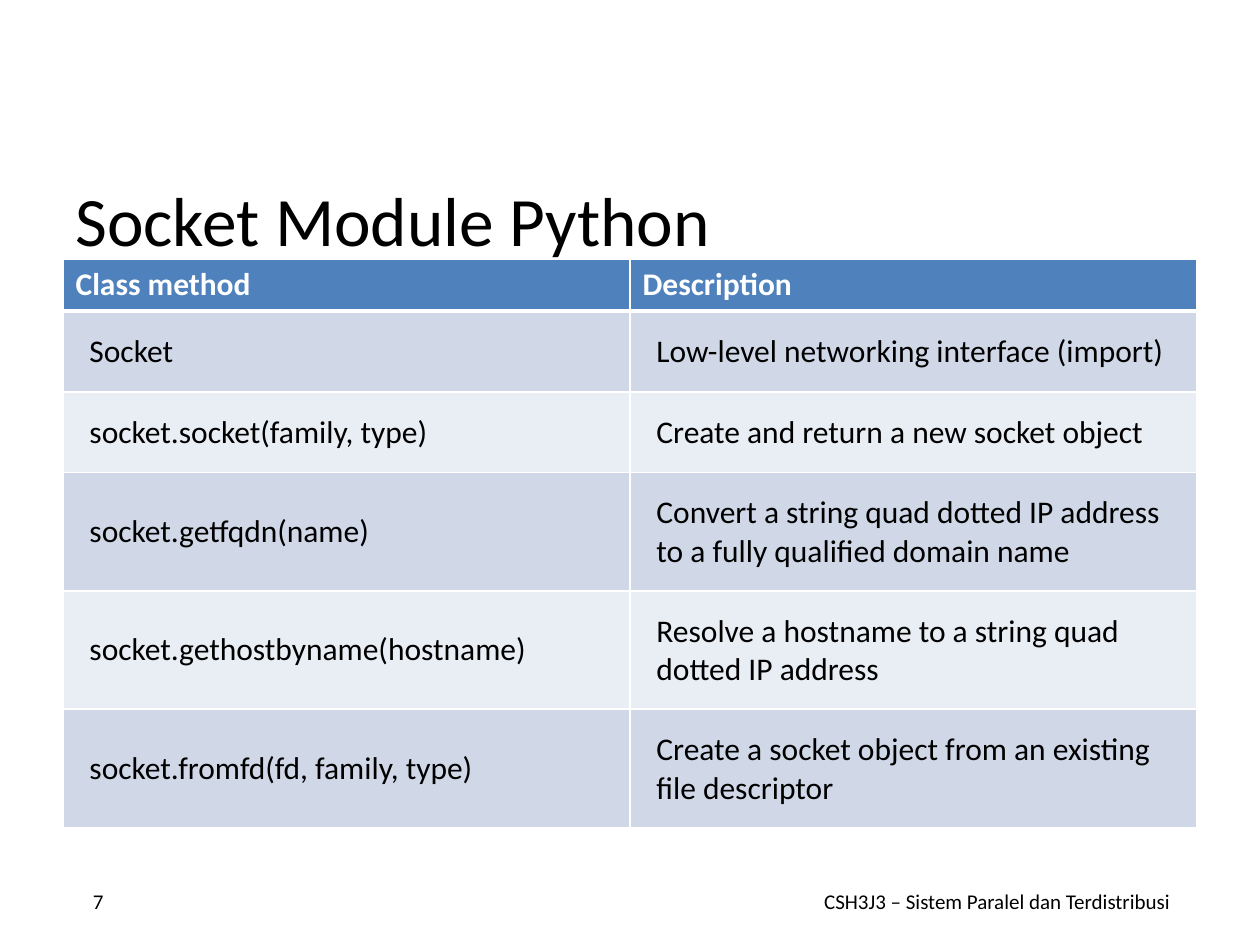
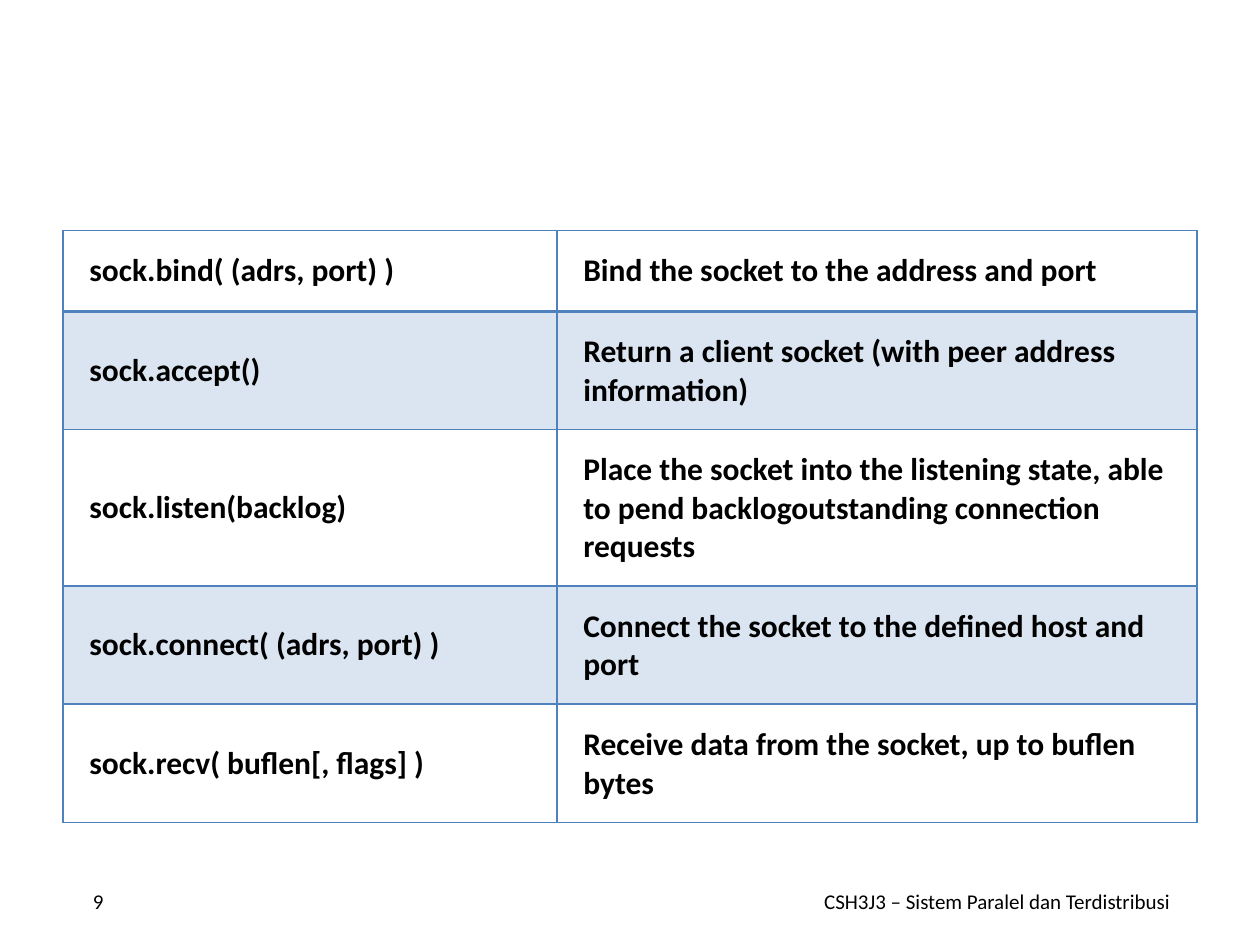
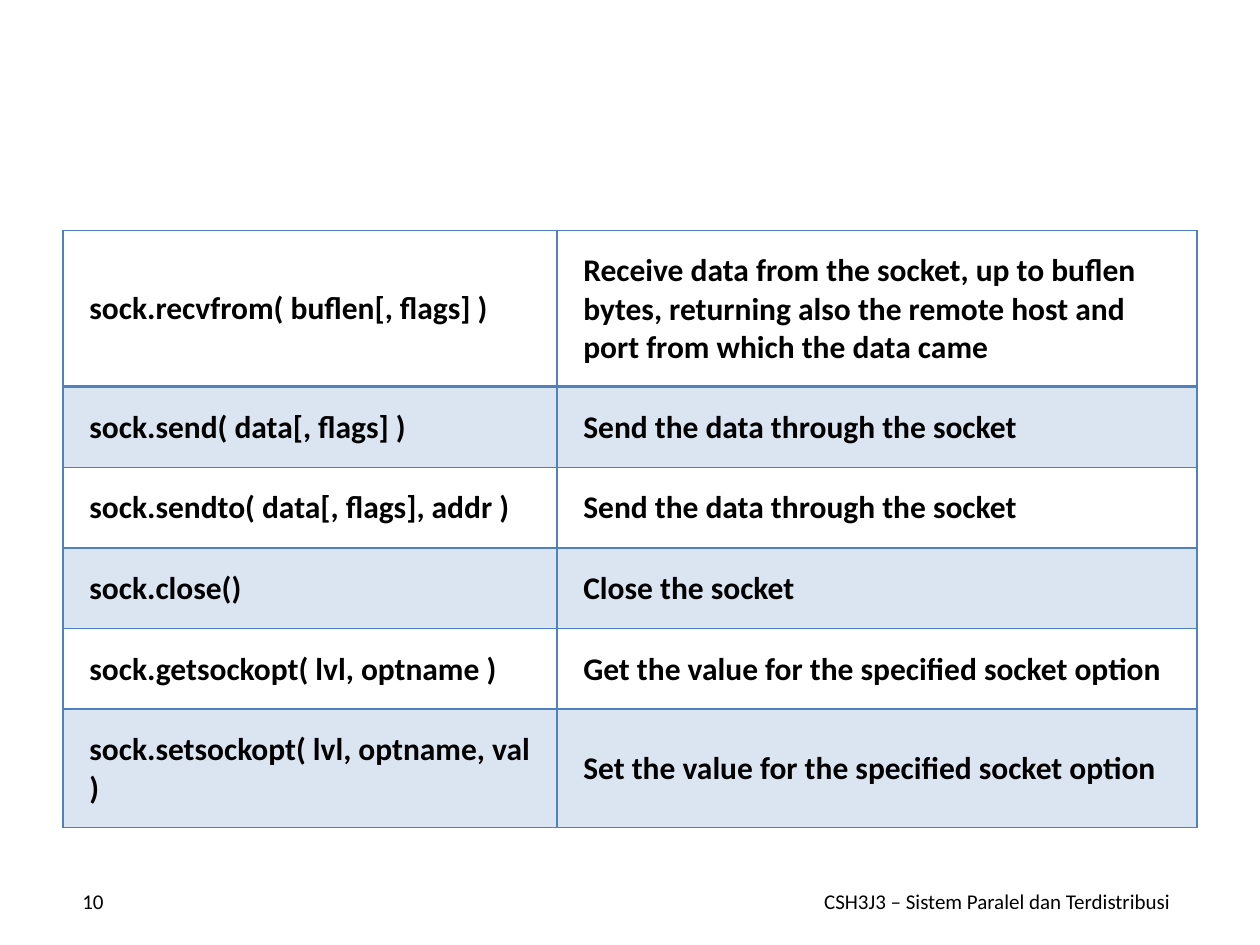
from lxml.etree import SubElement
from pptx import Presentation
from pptx.dml.color import RGBColor
from pptx.enum.text import MSO_ANCHOR, PP_ALIGN
from pptx.oxml.ns import qn
from pptx.util import Inches, Pt

COLORS = {
    "text": "000000",
    "white": "FFFFFF",
    "accent": "4F81BD",
    "band_dark": "D0D8E8",
    "band_light": "E9EDF4",
}
FONT = "Calibri"
COURSE = "CSH3J3 – Sistem Paralel dan Terdistribusi"

MODULE_ROWS = [
    ("Class method", "Description"),
    ("Socket", "Low-level networking interface (import)"),
    ("socket.socket(family, type)", "Create and return a new socket object"),
    ("socket.getfqdn(name)",
     "Convert a string quad dotted IP address to a fully qualified domain name"),
    ("socket.gethostbyname(hostname)",
     "Resolve a hostname to a string quad dotted IP address"),
    ("socket.fromfd(fd, family, type)",
     "Create a socket object from an existing file descriptor"),
]
CONNECTION_ROWS = [
    ("sock.bind( (adrs, port) )", "Bind the socket to the address and port"),
    ("sock.accept()", "Return a client socket (with peer address information)"),
    ("sock.listen(backlog)",
     "Place the socket into the listening state, able to pend backlogoutstanding "
     "connection requests"),
    ("sock.connect( (adrs, port) )", "Connect the socket to the defined host and port"),
    ("sock.recv( buflen[, flags] )",
     "Receive data from the socket, up to buflen bytes"),
]
DATA_ROWS = [
    ("sock.recvfrom( buflen[, flags] )",
     "Receive data from the socket, up to buflen bytes, returning also the remote "
     "host and port from which the data came"),
    ("sock.send( data[, flags] )", "Send the data through the socket"),
    ("sock.sendto( data[, flags], addr )", "Send the data through the socket"),
    ("sock.close()", "Close the socket"),
    ("sock.getsockopt( lvl, optname )", "Get the value for the specified socket option"),
    ("sock.setsockopt( lvl, optname, val )",
     "Set the value for the specified socket option"),
]


class Deck:
    """Holds the shared style and the slide being built."""

    def __init__(self):
        self.prs = Presentation()
        self.prs.slide_width = Inches(10)
        self.prs.slide_height = Inches(7.5)
        self.s = None

    def slide(self, number):
        self.s = self.prs.slides.add_slide(self.prs.slide_layouts[6])
        self.text(COURSE, 6.33, 6.95, 3.17, 0.4, 12, PP_ALIGN.CENTER)
        self.text(str(number), 0.5, 6.95, 0.42, 0.4, 12, PP_ALIGN.RIGHT)

    def run(self, p, text, size, color="text", bold=False):
        r = p.add_run()
        r.text = text
        r.font.name = FONT
        r.font.size = Pt(size)
        r.font.bold = bold
        r.font.color.rgb = RGBColor.from_string(COLORS[color])

    def text(self, text, x, y, w, h, size, align=PP_ALIGN.LEFT):
        sp = self.s.shapes.add_textbox(Inches(x), Inches(y), Inches(w), Inches(h))
        tf = sp.text_frame
        tf.word_wrap = True
        tf.vertical_anchor = MSO_ANCHOR.MIDDLE
        p = tf.paragraphs[0]
        p.alignment = align
        self.run(p, text, size)

    def title(self, text):
        self.text(text, 0.5, 1.42, 9, 0.63, 39.6)

    def border(self, cell, side, color, width):
        ln = SubElement(cell._tc.get_or_add_tcPr(), qn(f"a:ln{side}"), w=str(Pt(width)))
        fill = SubElement(ln, qn("a:solidFill"))
        SubElement(fill, qn("a:srgbClr"), val=COLORS[color])

    def fill(self, cell, color, alpha=100):
        if color is None:
            cell.fill.background()
            return
        cell.fill.solid()
        cell.fill.fore_color.rgb = RGBColor.from_string(COLORS[color])
        if alpha < 100:
            clr = cell._tc.tcPr.find(f"{qn('a:solidFill')}/{qn('a:srgbClr')}")
            SubElement(clr, qn("a:alpha"), val=str(alpha * 1000))

    def cell(self, cell, text, color="text", bold=False, padded=True):
        if padded:
            cell.margin_left = cell.margin_right = Inches(0.21)
            cell.margin_top = cell.margin_bottom = Inches(0.17)
            cell.vertical_anchor = MSO_ANCHOR.MIDDLE
        self.run(cell.text_frame.paragraphs[0], text, 18, color, bold)

    def table(self, rows, y, height, widths, line, rule):
        frame = self.s.shapes.add_table(
            len(rows), len(widths), Inches(0.5), Inches(y), Inches(9), Inches(height))
        table = frame.table
        table.first_row = table.horz_banding = False
        for column, width in zip(table.columns, widths):
            column.width = Inches(width)
        for row in table.rows:
            row.height = Inches(0.41)
        frame.height = Inches(height)
        for i in range(len(rows)):
            for cell in table.rows[i].cells:
                for side in "LRTB":
                    under_first = (i, side) in ((0, "B"), (1, "T"))
                    self.border(cell, side, line, rule if under_first else 1)
        return table

    def header_table(self, rows, y, height, widths):
        table = self.table(rows, y, height, widths, "white", 3)
        for i, row in enumerate(rows):
            band = "band_dark" if i % 2 else "band_light"
            for j, text in enumerate(row):
                cell = table.cell(i, j)
                if i == 0:
                    self.cell(cell, text, "white", bold=True, padded=False)
                    self.fill(cell, "accent")
                else:
                    self.cell(cell, text)
                    self.fill(cell, band)

    def grid_table(self, rows, y, height, widths):
        table = self.table(rows, y, height, widths, "accent", 2)
        for i, row in enumerate(rows):
            for j, text in enumerate(row):
                cell = table.cell(i, j)
                self.cell(cell, text, bold=True)
                self.fill(cell, "accent" if i % 2 else None, alpha=20)


def main():
    deck = Deck()
    deck.slide(7)
    deck.title("Socket Module Python")
    deck.header_table(MODULE_ROWS, 2.06, 4.47, (4.5, 4.5))
    for number, rows, height in ((9, CONNECTION_ROWS, 4.67), (10, DATA_ROWS, 4.7)):
        deck.slide(number)
        deck.grid_table(rows, 1.83, height, (3.92, 5.08))
    deck.prs.save("out.pptx")


if __name__ == "__main__":
    main()
